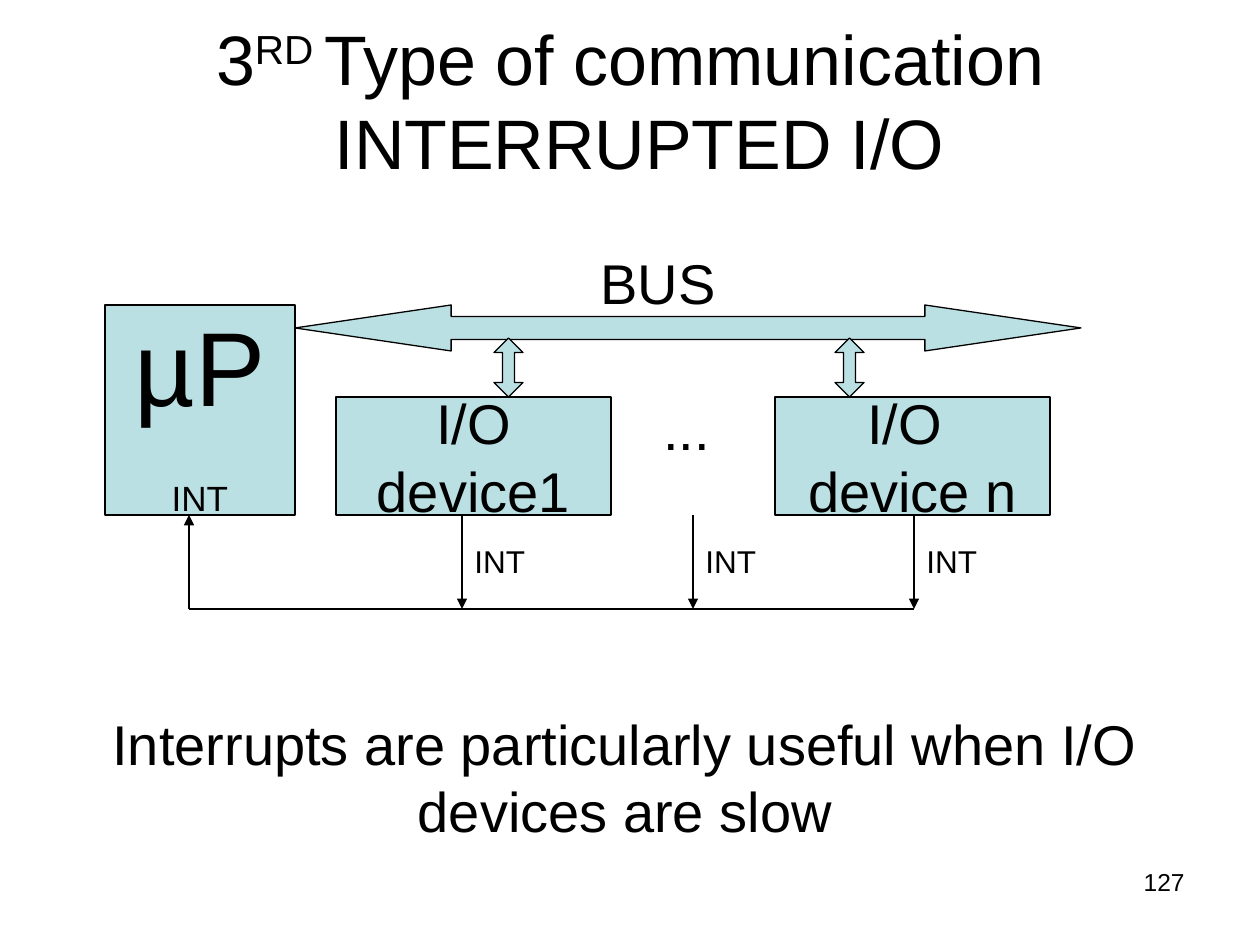
"""Builds the slide on interrupted I/O: a bus diagram with interrupt lines."""
from dataclasses import dataclass

from lxml.etree import SubElement
from pptx import Presentation
from pptx.dml.color import RGBColor
from pptx.enum.shapes import MSO_CONNECTOR, MSO_SHAPE as SHAPE
from pptx.enum.text import MSO_ANCHOR as ANCHOR, PP_ALIGN as ALIGN
from pptx.oxml.ns import qn
from pptx.util import Emu, Pt


@dataclass(frozen=True)
class Theme:
    ink: RGBColor = RGBColor(0, 0, 0)
    fill: RGBColor = RGBColor(0xBB, 0xE0, 0xE3)
    font: str = "Arial"
    line: float = 0.75
    title: int = 40
    chip: int = 60
    body: int = 32
    pin: int = 20
    label: int = 18
    number: int = 14


T = Theme()
PX = 914400 / 126


def px(*lengths):
    return [Emu(round(n * PX)) for n in lengths]


def write(sp, paragraphs, align=ALIGN.LEFT, anchor=ANCHOR.TOP, wrap=True):
    tf = sp.text_frame
    tf.word_wrap = wrap
    tf.vertical_anchor = anchor
    for i, (runs, before) in enumerate(paragraphs):
        p = tf.add_paragraph() if i else tf.paragraphs[0]
        p.alignment = align
        if before:
            p.space_before = Pt(before)
        for text, size, raised in runs:
            if text == "\n":
                p.add_line_break()
                continue
            r = p.add_run()
            r.text = text
            r.font.name, r.font.size = T.font, Pt(size)
            r.font.color.rgb = T.ink
            if raised:
                r.font._element.set("baseline", "30000")


prs = Presentation()
prs.slide_width, prs.slide_height = px(1260, 945)
s = prs.slides.add_slide(prs.slide_layouts[6])

title = [("3", T.title, False), ("RD ", T.title, True),
         ("Type of communication", T.title, False), ("\n", T.title, False),
         (" INTERRUPTED I/O", T.title, False)]
sp = s.shapes.add_textbox(*px(63, 32, 1134, 136))
write(sp, [(title, 0)], ALIGN.CENTER, ANCHOR.MIDDLE)

chip = [([("µP", T.chip, False)], 0), ([("INT", T.pin, False)], 28)]
device_1, device_n = [
    [([(text, T.body, False)], 0) for text in lines]
    for lines in (("I/O", "device1"), ("I/O ", "device n"))
]
blocks = [
    (SHAPE.RECTANGLE, (105, 305, 190, 210), (), chip),
    (SHAPE.LEFT_RIGHT_ARROW, (295, 305, 786, 46), (0.5, 3.395), None),
    (SHAPE.RECTANGLE, (336, 397, 275, 118), (), device_1),
    (SHAPE.RECTANGLE, (775, 397, 275, 118), (), device_n),
    (SHAPE.UP_DOWN_ARROW, (494, 338, 29, 59), (0.5, 0.411), None),
    (SHAPE.UP_DOWN_ARROW, (835, 338, 29, 59), (0.5, 0.411), None),
]
for kind, box, adjust, paragraphs in blocks:
    sp = s.shapes.add_shape(kind, *px(*box))
    sp.shadow.inherit = False
    sp.fill.solid()
    sp.fill.fore_color.rgb = T.fill
    sp.line.color.rgb, sp.line.width = T.ink, Pt(T.line)
    for i, value in enumerate(adjust):
        sp.adjustments[i] = value
    if paragraphs:
        write(sp, paragraphs, ALIGN.CENTER, ANCHOR.MIDDLE, wrap=False)

top, bottom, chip_x = 515, 609, 189
device_xs = (914, 693, 462)
wires = [(x, top, x, bottom, True) for x in device_xs]
wires += [(chip_x, bottom, chip_x, top, True),
          (chip_x, bottom, device_xs[0], bottom, False)]
for *ends, arrow in wires:
    c = s.shapes.add_connector(MSO_CONNECTOR.STRAIGHT, *px(*ends))
    c.line.color.rgb, c.line.width = T.ink, Pt(T.line)
    if arrow:
        SubElement(c.line._get_or_add_ln(), qn("a:tailEnd"), type="triangle")
    SubElement(c._element.spPr, qn("a:effectLst"))

labels = [
    ("BUS", (588, 242, 168, 81), T.body, ALIGN.LEFT),
    ("...", (651, 388, 73, 81), T.body, ALIGN.LEFT),
    *[("INT", (x, 536, 84, 50), T.label, ALIGN.LEFT) for x in device_xs],
    ("Interrupts are particularly useful when I/O devices are slow",
     (42, 703, 1166, 147), T.body, ALIGN.CENTER),
    ("127", (903, 861, 294, 66), T.number, ALIGN.RIGHT),
]
for text, box, size, align in labels:
    sp = s.shapes.add_textbox(*px(*box))
    write(sp, [([(text, size, False)], 0)], align)

prs.save("out.pptx")
